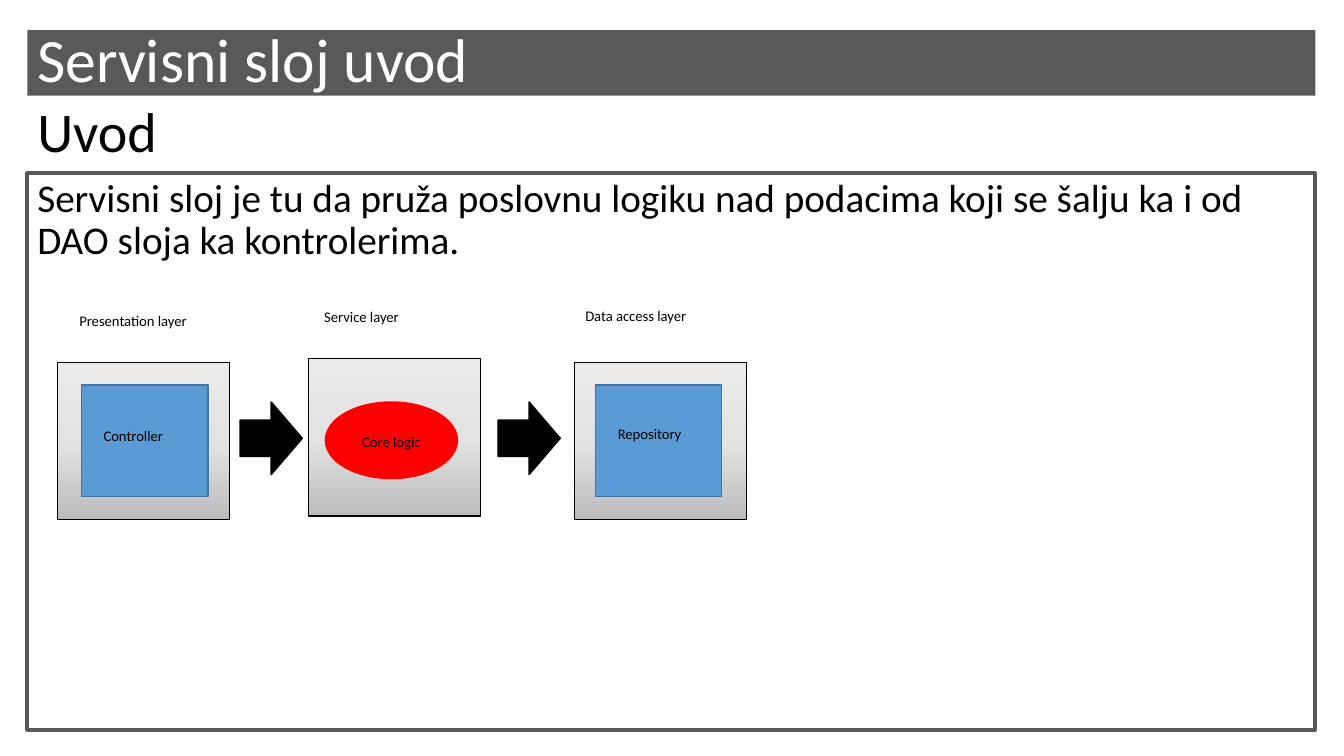
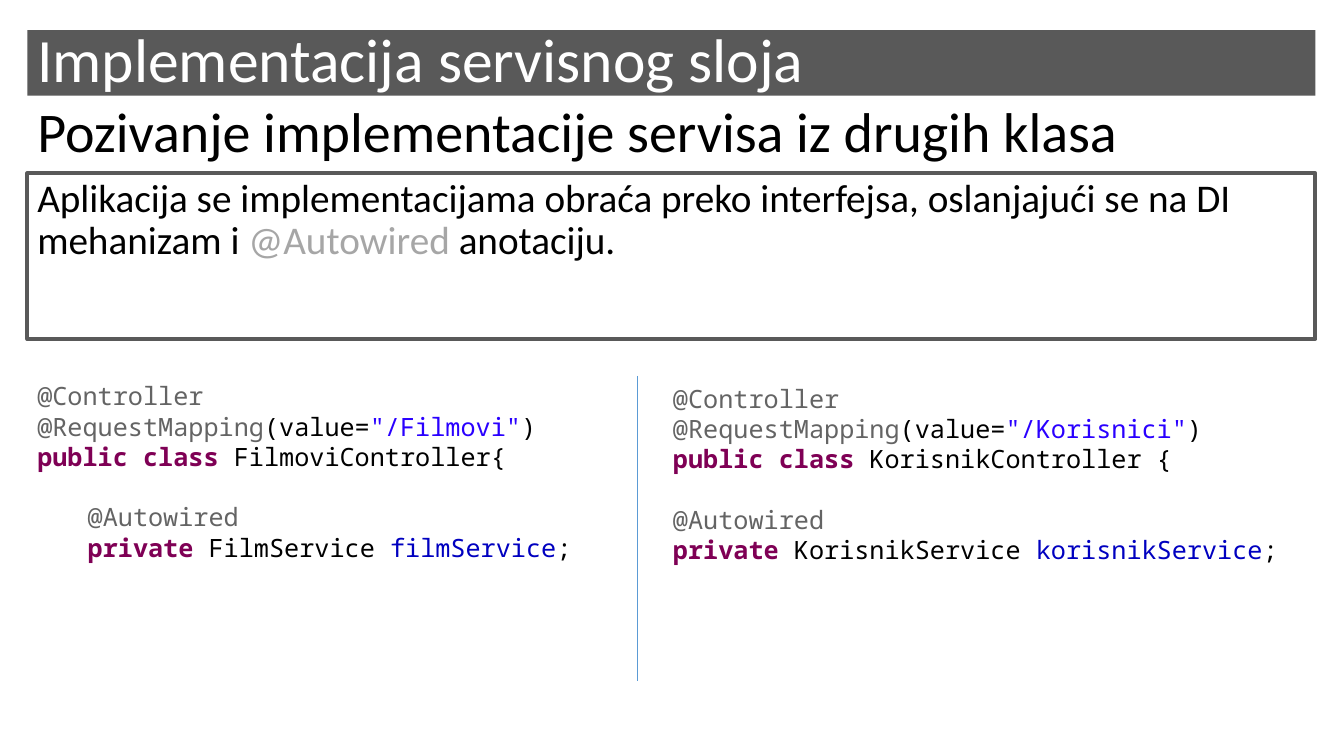
"""Build two slides on the service layer: its role and how classes call it."""
from copy import deepcopy
from dataclasses import dataclass
from typing import Optional

from lxml.etree import SubElement
from pptx import Presentation
from pptx.dml.color import RGBColor
from pptx.enum.shapes import MSO_CONNECTOR, MSO_SHAPE
from pptx.enum.text import MSO_ANCHOR, PP_ALIGN
from pptx.oxml.ns import qn
from pptx.util import Cm, Pt

WHITE = RGBColor(0xFF, 0xFF, 0xFF)
BLACK = RGBColor(0, 0, 0)
DARK = RGBColor(0x59, 0x59, 0x59)
PALE = RGBColor(0xA6, 0xA6, 0xA6)
BLUE = RGBColor(0x5B, 0x9B, 0xD5)
EDGE = RGBColor(0x43, 0x73, 0x9E)
RED = RGBColor(0xFF, 0, 0)
NOTE = RGBColor(0x64, 0x64, 0x64)
WORD = RGBColor(0x7F, 0, 0x55)
QUOTE = RGBColor(0x2A, 0, 0xFF)
FIELD = RGBColor(0, 0, 0xC0)
SHADES = (
    (0, RGBColor(0xEB, 0xEA, 0xEA)),
    (0.5, RGBColor(0xE4, 0xE3, 0xE3)),
    (1, RGBColor(0xBD, 0xBC, 0xBC)),
)

SANS = "Calibri"
MONO = "Noto Sans Mono"
LEFT, WIDTH = 0.69, 32.46
PITCH = Pt(21.6)


@dataclass(frozen=True)
class Box:
    """Place and size in centimetres."""
    x: float
    y: float
    w: float
    h: float

    def cm(self) -> tuple:
        """Return the four lengths for a shape call."""
        return Cm(self.x), Cm(self.y), Cm(self.w), Cm(self.h)


@dataclass(frozen=True)
class Part:
    """A piece of text in one colour."""
    text: str
    color: RGBColor = BLACK
    bold: bool = False


@dataclass(frozen=True)
class Label:
    """A small caption of the diagram."""
    text: str
    box: Box
    fill: Optional[RGBColor] = None


@dataclass(frozen=True)
class Code:
    """A listing of one controller class."""
    box: Box
    url: str
    name: str
    tab: str
    kind: str
    field: str


TITLE = Box(LEFT, 0.76, WIDTH, 1.65)
HEAD = Box(LEFT, 2.67, WIDTH, 1.45)
PANELS = [Box(x, y, 4.34, 3.96) for x, y in ((1.45, 9.14), (7.77, 9.04), (14.48, 9.14))]
CARDS = [Box(x, 9.7, 3.18, 2.82) for x in (2.06, 15.01)]
ARROWS = [Box(x, 10.13, 1.57, 1.83) for x in (6.05, 12.55)]
CORE = Box(8.2, 10.13, 3.33, 1.93)
LABELS = [
    Label("Controller", Box(2.36, 10.59, 2.95, 1.5)),
    Label("Repository", Box(15.32, 10.54, 2.95, 1.5)),
    Label("Presentation layer", Box(1.75, 7.7, 3.58, 0.76), WHITE),
    Label("Service layer", Box(7.92, 7.59, 4.01, 1.19), WHITE),
    Label("Data access layer", Box(14.5, 7.57, 4.01, 1.19), WHITE),
]
CODES = [
    Code(Box(LEFT, 9.47, 14.27, 4.88), '"/Filmovi"', "FilmoviController{",
         "\t", "FilmService ", "filmService"),
    Code(Box(16.71, 9.53, 16.94, 4.88), '"/Korisnici"', "KorisnikController {",
         "", "KorisnikService ", "korisnikService"),
]


def add_parts(para, parts: list[Part], size: float, font: str) -> None:
    """Fill a paragraph with coloured runs."""
    for part in parts:
        run = para.add_run()
        run.text = part.text
        run.font.name = font
        run.font.size = Pt(size)
        run.font.bold = part.bold
        run.font.color.rgb = part.color


def add_text(slide, box: Box, parts: list[Part], size: float,
             space: float = 0.9, middle: bool = False):
    """Add a wrapped one-paragraph text box."""
    shape = slide.shapes.add_textbox(*box.cm())
    frame = shape.text_frame
    frame.word_wrap = True
    frame.vertical_anchor = MSO_ANCHOR.MIDDLE if middle else MSO_ANCHOR.TOP
    para = frame.paragraphs[0]
    para.line_spacing = space
    add_parts(para, parts, size, SANS)
    return shape


def add_frame(slide, title: str, head: str, body: list[Part], high: float) -> None:
    """Draw the title band, heading and bordered body."""
    band = add_text(slide, TITLE, [Part(title, WHITE)], 44, middle=True)
    band.fill.solid()
    band.fill.fore_color.rgb = DARK
    text = add_text(slide, Box(LEFT, 4.37, WIDTH, high), body, 28)
    text.line.color.rgb = DARK
    text.line.width = Pt(3)
    add_text(slide, HEAD, [Part(head)], 40, middle=True)


def add_form(slide, form: MSO_SHAPE, box: Box, line: RGBColor,
             fill: Optional[RGBColor] = None):
    """Add an outlined shape, shaded when no fill is given."""
    shape = slide.shapes.add_shape(form, *box.cm())
    shape.shadow.inherit = False
    shape.line.color.rgb = line
    shape.line.width = Pt(1)
    if fill is not None:
        shape.fill.solid()
        shape.fill.fore_color.rgb = fill
        return shape
    shape.fill.gradient()
    shape.fill.gradient_angle = 270
    stops = shape._element.spPr.find(qn("a:gradFill")).find(qn("a:gsLst"))
    stops.insert(1, deepcopy(stops[0]))
    for stop, (place, color) in zip(shape.fill.gradient_stops, SHADES):
        stop.position = place
        stop.color.rgb = color
    return shape


def add_layers(slide) -> None:
    """Draw the three layers and the arrows between them."""
    for box in PANELS:
        add_form(slide, MSO_SHAPE.RECTANGLE, box, BLACK)
    for box in CARDS:
        add_form(slide, MSO_SHAPE.RECTANGLE, box, EDGE, BLUE)
    for box in ARROWS:
        add_form(slide, MSO_SHAPE.RIGHT_ARROW, box, BLACK, BLACK)
    core = add_form(slide, MSO_SHAPE.OVAL, CORE, RED, RED)
    core.text_frame.vertical_anchor = MSO_ANCHOR.MIDDLE
    para = core.text_frame.paragraphs[0]
    para.alignment = PP_ALIGN.CENTER
    para.line_spacing = 1.1
    para.space_after = Pt(6)
    add_parts(para, [Part("Core logic")], 10.5, SANS)
    for label in LABELS:
        text = add_text(slide, label.box, [Part(label.text)], 10.5, 1.1)
        if label.fill is not None:
            text.fill.solid()
            text.fill.fore_color.rgb = label.fill


def add_code(slide, code: Code) -> None:
    """Write one highlighted listing."""
    rows = [
        [Part("@Controller", NOTE)],
        [Part("@RequestMapping", NOTE), Part("(value="), Part(code.url, QUOTE), Part(")")],
        [Part("public class ", WORD, True), Part(code.name)],
        [Part(code.tab + "@Autowired", NOTE)],
        [Part(code.tab + "private ", WORD, True), Part(code.kind),
         Part(code.field, FIELD), Part(";")],
    ]
    frame = slide.shapes.add_textbox(*code.box.cm()).text_frame
    frame.word_wrap = True
    for index, row in enumerate(rows):
        para = frame.add_paragraph() if index else frame.paragraphs[0]
        para.line_spacing = PITCH
        if index == 3:
            para.space_before = PITCH
        add_parts(para, row, 18, MONO)


def add_rule(slide, x: float, top: float, end: float) -> None:
    """Draw the thin upright line between listings."""
    rule = slide.shapes.add_connector(
        MSO_CONNECTOR.STRAIGHT, Cm(x), Cm(top), Cm(x), Cm(end))
    rule.line.color.rgb = BLUE
    rule.line.width = Pt(0.5)
    SubElement(rule._element.spPr, qn("a:effectLst"))


def main() -> None:
    """Build and save the slides."""
    deck = Presentation()
    deck.slide_width, deck.slide_height = Cm(33.87), Cm(19.05)
    blank = deck.slide_layouts[6]

    intro = deck.slides.add_slide(blank)
    add_frame(intro, "Servisni sloj uvod", "Uvod", [
        Part("Servisni sloj je tu da pruža poslovnu logiku nad podacima "
             "koji se šalju ka i od DAO sloja ka kontrolerima."),
    ], 14.02)
    add_layers(intro)

    usage = deck.slides.add_slide(blank)
    add_frame(usage, "Implementacija servisnog sloja",
              "Pozivanje implementacije servisa iz drugih klasa", [
                  Part("Aplikacija se implementacijama obraća preko interfejsa, "
                       "oslanjajući se na DI mehanizam i "),
                  Part("@Autowired ", PALE),
                  Part("anotaciju."),
              ], 4.17)
    for code in CODES:
        add_code(usage, code)
    add_rule(usage, 16.05, 9.47, 17.17)

    deck.save("out.pptx")


if __name__ == "__main__":
    main()
